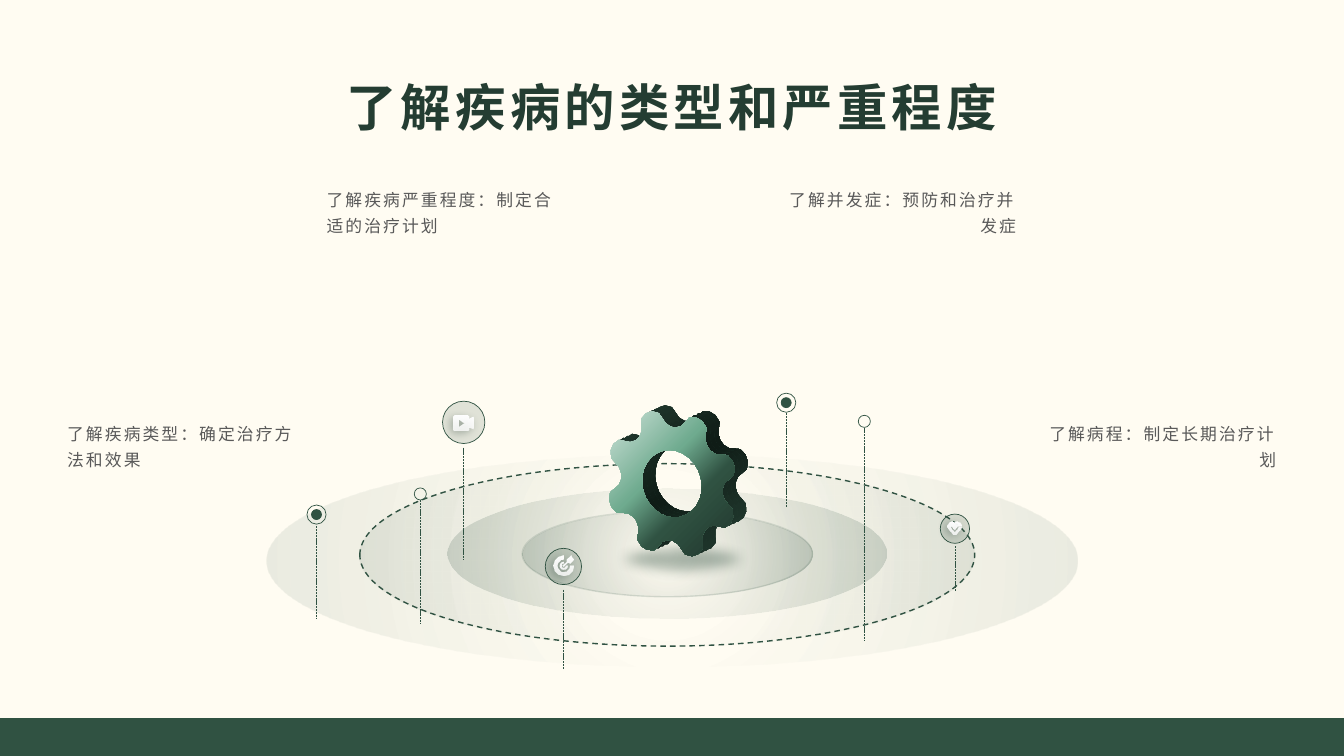
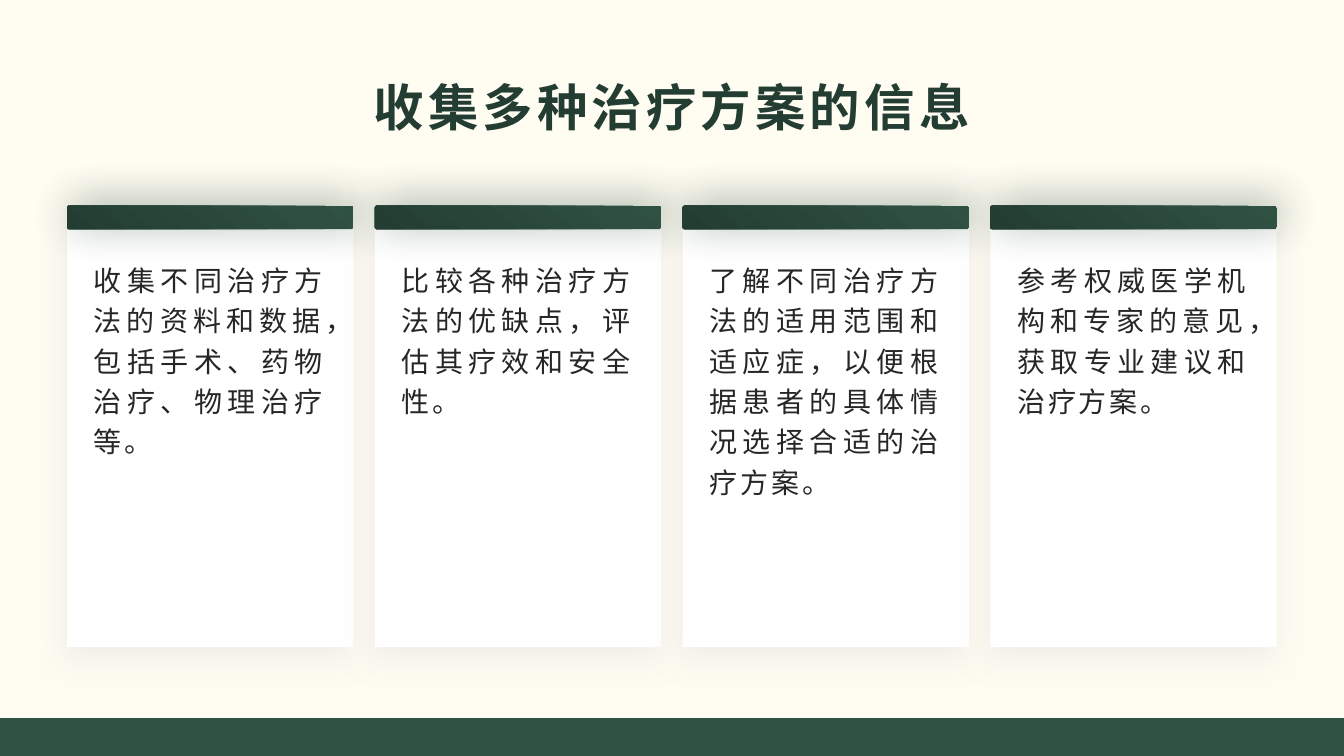
import math
from dataclasses import dataclass

from pptx import Presentation, oxml
from pptx import util as u
from pptx.dml.color import RGBColor
from pptx.enum import dml, shapes, text
from pptx.oxml import ns


@dataclass(frozen=True)
class Theme:
    font: str = "Noto Sans CJK SC"
    paper: str = "FFFCF2"
    green: str = "305242"
    dark: str = "243D32"
    black: str = "0F1C16"
    mint: str = "CFE3DA"
    sage: str = "6FAB8F"
    white: str = "FFFFFF"
    mist: str = "D9D9D9"
    title: tuple = (36, "243D32", True, 3)
    note: tuple = (12, "595959", False, 1.5)
    body: tuple = (20, "262626", False, 2)


theme = Theme()
OVAL, BOX = shapes.MSO_SHAPE.OVAL, shapes.MSO_SHAPE.RECTANGLE
LINE = shapes.MSO_CONNECTOR.STRAIGHT
DASH = dml.MSO_LINE
ALIGN = text.PP_ALIGN
COLUMNS, ROWS = 80, 45
CELL = u.Inches(1) / 6


def draw(page, figure, area, stops=(), angle=None, line=None, dash=None, line_alpha=100, effect=""):
    if isinstance(figure, list):
        left, top, scale = area
        contours = [[(round((left + x * scale) * CELL), round((top + y * scale) * CELL))
                     for x, y in contour] for contour in figure]
        builder = page.shapes.build_freeform(*contours[0][0])
        builder.add_line_segments(contours[0][1:], close=True)
        for contour in contours[1:]:
            builder.move_to(*contour[0])
            builder.add_line_segments(contour[1:], close=True)
        shape = builder.convert_to_shape()
    else:
        lengths = [round(n * CELL) for n in area]
        add = page.shapes.add_connector if figure is LINE else page.shapes.add_shape
        shape = add(figure, *lengths)
    frame = shape.element.spPr
    if len(stops) > 1:
        marks = "".join(
            f'<a:gs pos="{at * 1000}"><a:srgbClr val="{colour}"><a:alpha val="{alpha * 1000}"/></a:srgbClr></a:gs>'
            for at, colour, alpha in stops)
        course = (f'<a:lin ang="{angle * 60000}" scaled="0"/>' if angle is not None else
                  '<a:path path="circle"><a:fillToRect l="50000" t="50000" r="50000" b="50000"/></a:path>')
        frame.append(oxml.parse_xml(
            f'<a:gradFill {ns.nsdecls("a")} rotWithShape="1"><a:gsLst>{marks}</a:gsLst>{course}</a:gradFill>'))
    elif stops:
        shape.fill.solid()
        shape.fill.fore_color.rgb = RGBColor.from_string(stops[0][1])
        frame.xpath("./a:solidFill/a:srgbClr")[0].append(
            oxml.parse_xml(f'<a:alpha {ns.nsdecls("a")} val="{stops[0][2] * 1000}"/>'))
    elif figure is not LINE:
        shape.fill.background()
    if line:
        shape.line.width = u.Pt(line)
        shape.line.color.rgb = RGBColor.from_string(theme.green)
        shape.line.dash_style = dash
        frame.xpath("./a:ln/a:solidFill/a:srgbClr")[0].append(
            oxml.parse_xml(f'<a:alpha {ns.nsdecls("a")} val="{line_alpha * 1000}"/>'))
    else:
        shape.line.fill.background()
    if isinstance(effect, tuple):
        colour, alpha, blur, distance, direction = effect
        effect = (f'<a:outerShdw blurRad="{u.Pt(blur)}" dist="{u.Pt(distance)}" dir="{direction * 60000}" '
                  f'algn="ctr" rotWithShape="0"><a:srgbClr val="{colour}"><a:alpha val="{alpha * 1000}"/>'
                  '</a:srgbClr></a:outerShdw>')
    frame.append(oxml.parse_xml(f'<a:effectLst {ns.nsdecls("a")}>{effect}</a:effectLst>'))
    return shape


def write(page, words, area, style, align, spacing=1.0, inset=True, anchor=text.MSO_ANCHOR.TOP):
    size, colour, bold, tracking = style
    frame = page.shapes.add_textbox(*[round(n * CELL) for n in area]).text_frame
    frame.word_wrap = True
    frame.vertical_anchor = anchor
    if not inset:
        frame.margin_left = frame.margin_right = frame.margin_top = frame.margin_bottom = 0
    para = frame.paragraphs[0]
    para.alignment = align
    para.line_spacing = spacing
    span = para.add_run()
    span.text = words
    span.font.name = theme.font
    span.font.size = u.Pt(size)
    span.font.bold = bold
    span.font.color.rgb = RGBColor.from_string(colour)
    marks = span.font._element
    marks.set("spc", str(round(tracking * 100)))
    marks.append(oxml.parse_xml(f'<a:ea {ns.nsdecls("a")} typeface="{theme.font}"/>'))


deck = Presentation()
deck.slide_width = round(COLUMNS * CELL)
deck.slide_height = round(ROWS * CELL)
backdrop = deck.slide_master.background.fill
backdrop.solid()
backdrop.fore_color.rgb = RGBColor.from_string(theme.paper)

pages = []
for heading in ("了解疾病的类型和严重程度", "收集多种治疗方案的信息"):
    page = deck.slides.add_slide(deck.slide_layouts[6])
    draw(page, BOX, (0, 42.75, COLUMNS, 2.25), [(0, theme.green, 100)])
    write(page, heading, (4, 4, 72, 4.6), theme.title, ALIGN.CENTER, anchor=text.MSO_ANCHOR.MIDDLE)
    pages.append(page)
disease, options = pages

rings = [
    ((15.84, 27.06, 48.3, 12.6), 25, 10, None, None, 100),
    ((21.42, 27.6, 36.6, 10.86), 25, 10, 1, DASH.DASH, 100),
    ((26.64, 29.1, 26.1, 7.74), 0, 20, None, None, 100),
    ((31.08, 30.42, 17.28, 5.1), 0, 20, 1, DASH.SOLID, 15),
]
for area, start, alpha, width, dash, line_alpha in rings:
    draw(disease, OVAL, area, [(start, theme.green, 0), (100, theme.green, alpha)],
         line=width, dash=dash, line_alpha=line_alpha)
draw(disease, OVAL, (35.64, 31.8, 9.96, 2.94), [(0, theme.green, 40)],
     effect=f'<a:softEdge rad="{u.Pt(9)}"/>')

pins = [
    (18.84, 30.63, 1.14, 31.32, 36.84, "dot"),
    (51.45, 25.08, 0.72, 25.5, 38.1, "ring"),
    (27.6, 25.14, 2.52, 26.64, 33.36, "disc"),
    (46.8, 23.97, 1.14, 24.6, 30.18, "dot"),
    (25.02, 29.4, 0.72, 29.76, 37.08, "ring"),
    (56.84, 31.47, 1.74, 32.52, 35.22, "disc"),
    (33.54, 33.72, 2.16, 35.1, 39.84, "disc"),
]
for x, y, size, top, bottom, kind in pins:
    draw(disease, LINE, (x, top, x, bottom), line=0.5, dash=DASH.SQUARE_DOT)
    draw(disease, OVAL, (x - size / 2, y - size / 2, size, size),
         [(0, theme.green, 15)] if kind == "disc" else (), line=0.5)
    if kind == "dot":
        draw(disease, OVAL, (x - 0.3, y - 0.3, 0.6, 0.6), [(0, theme.green, 100)], line=0.5)

target = [[(8, -8), (10, -6), (6, -2), (4, -3), (0, 1), (-1, 0), (3, -4), (3, -6), (7, -10)]]
for outer, inner in ((10, 6), (4, 2)):
    sweep = [math.radians(angle) for angle in range(0, 271, 30)]
    target.append([(outer * math.cos(a), outer * math.sin(a)) for a in sweep]
                  + [(inner * math.cos(a), inner * math.sin(a)) for a in reversed(sweep)])
heart = [
    [(0, -6), (2, -7), (5, -6), (7, -3), (7, -1), (1, 6), (-1, 6), (-7, -1), (-7, -3), (-5, -6), (-2, -7)],
    [(-3, -2), (0, 1), (3, -2), (4, -1), (0, 3), (-4, -1)],
]
camera = [
    [(-9, -7.5), (4, -7.5), (5, -6.5), (5, -4), (9, -6), (10, -5), (10, 4), (9, 5.5), (5, 4),
     (5, 6.5), (4, 7.5), (-9, 7.5), (-10, 6.5), (-10, -6.5)],
    [(-5, -3.5), (0.5, 0), (-5, 3.5)],
]
for icon, x, y in ((target, 33.54, 33.66), (heart, 56.82, 31.44), (camera, 27.6, 25.17)):
    draw(disease, icon, (x, y, 0.06), [(0, theme.white, 100), (100, theme.white, 80)],
         angle=90, effect=(theme.dark, 40, 6, 3, 135))

gear = []
for count, radius, tooth in ((64, 4.08, 0.54), (28, 2.1, 0)):
    contour = []
    for step in range(count):
        turn = (step + 0.5) * math.tau / count
        length = radius - tooth * math.tanh(1.8 * math.cos(8 * turn)) / math.tanh(1.8)
        x, y = length * math.cos(turn), length * math.sin(turn)
        contour.append((0.85 * x - 0.03 * y, 0.12 * x + 0.95 * y))
    gear.append(contour)
for layer in (3, 2, 1):
    draw(disease, gear, (40 + 0.26 * layer, 28.8 - 0.12 * layer, 1),
         [(0, theme.dark, 100), (50, theme.black, 100), (100, theme.dark, 100)], angle=45)
draw(disease, gear, (40, 28.8, 1),
     [(0, theme.mint, 100), (40, theme.sage, 100), (64, theme.green, 100), (92, theme.dark, 100)], angle=45)

notes = [
    ("了解疾病类型：确定治疗方法和效果", 4, 24.84, ALIGN.LEFT),
    ("了解病程：制定长期治疗计划", 61.8, 24.84, ALIGN.RIGHT),
    ("了解并发症：预防和治疗并发症", 46.32, 10.92, ALIGN.RIGHT),
    ("了解疾病严重程度：制定合适的治疗计划", 19.44, 10.92, ALIGN.LEFT),
]
for words, left, top, align in notes:
    write(disease, words, (left, top, 14.16, 5.28), theme.note, align, 1.3, inset=False)

cards = [
    "收集不同治疗方法的资料和数据，包括手术、药物治疗、物理治疗等。",
    "比较各种治疗方法的优缺点，评估其疗效和安全性。",
    "了解不同治疗方法的适用范围和适应症，以便根据患者的具体情况选择合适的治疗方案。",
    "参考权威医学机构和专家的意见，获取专业建议和治疗方案。",
]
card_width = 17.04
pitch = (COLUMNS - 2 * 4 - card_width) / (len(cards) - 1)
for index, words in enumerate(cards):
    left = 4 + index * pitch
    draw(options, BOX, (left, 12.24, card_width, 26.28), [(0, theme.white, 100)],
         effect=(theme.mist, 40, 22, 9, 106))
    strip = draw(options, shapes.MSO_SHAPE.ROUNDED_RECTANGLE, (left, 12.24, card_width, 1.4),
                 [(0, theme.green, 100), (100, theme.dark, 100)], angle=130,
                 effect=(theme.green, 45, 30, 5, 315))
    strip.adjustments[0] = 0.08
    write(options, words, (left + 1, 15, 14.96, 22.36), theme.body, ALIGN.JUSTIFY, 1.2)

deck.save("out.pptx")
